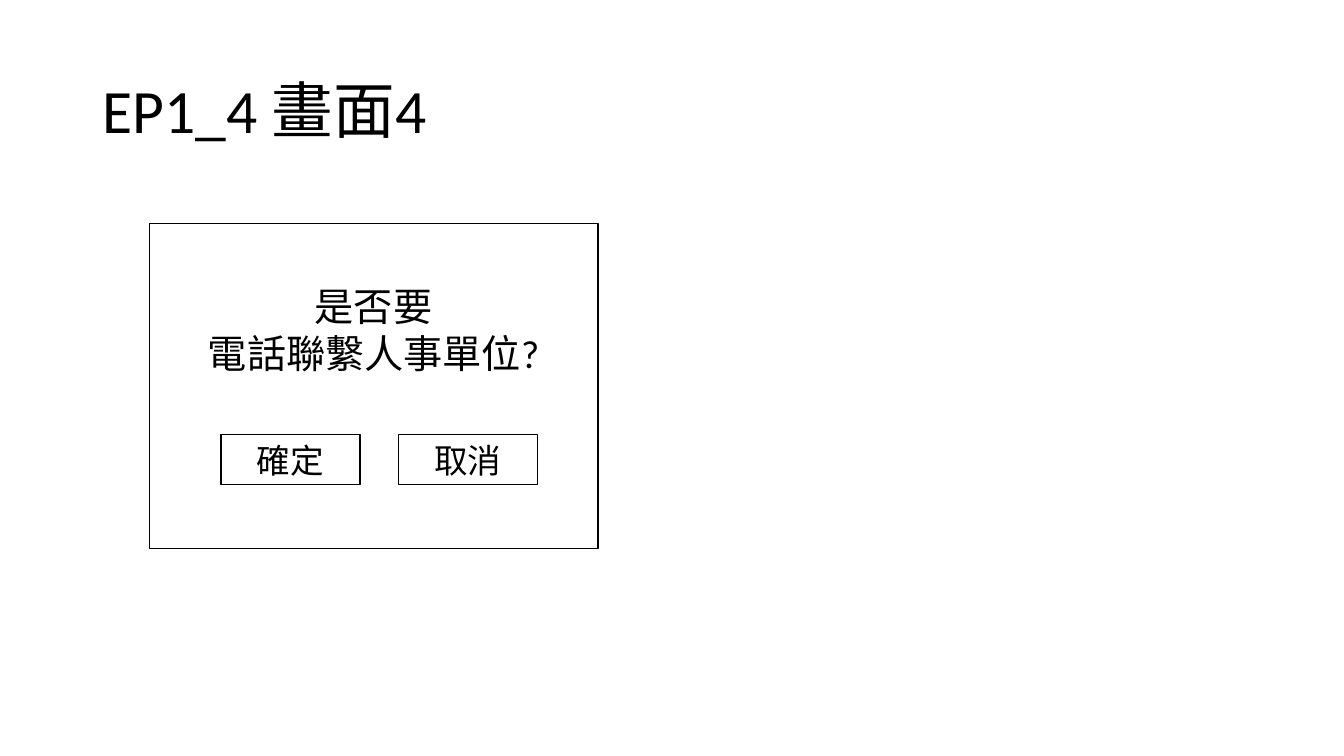
from pptx import Presentation
from pptx.dml.color import RGBColor
from pptx.enum.shapes import MSO_SHAPE as Shape
from pptx.enum.text import MSO_ANCHOR as Anchor, PP_ALIGN as Align
from pptx.util import Inches, Pt

BLACK, WHITE = "000000", "FFFFFF"
FONT = "Calibri"


def color(hex_code):
    return RGBColor.from_string(hex_code)


def write(shape, lines, size, align):
    """Fill a shape with one paragraph per line, centred vertically."""
    frame = shape.text_frame
    frame.word_wrap = True
    frame.vertical_anchor = Anchor.MIDDLE
    for index, line in enumerate(lines):
        paragraph = frame.add_paragraph() if index else frame.paragraphs[0]
        paragraph.alignment = align
        run = paragraph.add_run()
        run.text = line
        run.font.name = FONT
        run.font.size = Pt(size)
        run.font.color.rgb = color(BLACK)


def add_frame(slide, box, fill=None):
    """Draw a black outlined rectangle, hollow unless a fill is given."""
    shape = slide.shapes.add_shape(Shape.RECTANGLE, *map(Inches, box))
    shape.shadow.inherit = False
    if fill:
        shape.fill.solid()
        shape.fill.fore_color.rgb = color(fill)
    else:
        shape.fill.background()
    shape.line.color.rgb = color(BLACK)
    shape.line.width = Pt(1)
    return shape


def add_title(slide, box, text):
    title = slide.shapes.title
    title.left, title.top, title.width, title.height = map(Inches, box)
    write(title, [text], 44, Align.LEFT)
    title.text_frame.paragraphs[0].line_spacing = 0.9


def add_dialog(slide, box, question, buttons):
    left, top, width, height = box
    add_frame(slide, box)

    # Question
    message_box = (left, top + 0.11, width, 1.87)
    message = slide.shapes.add_textbox(*map(Inches, message_box))
    write(message, question, 28, Align.CENTER)

    # Row of buttons
    button_width, button_height, pitch = 1.38, 0.5, 1.76
    for column, label in enumerate(buttons):
        button_box = (left + 0.71 + column * pitch, top + 2.09,
                      button_width, button_height)
        button = add_frame(slide, button_box, WHITE)
        write(button, [label], 24, Align.CENTER)


def main():
    presentation = Presentation()
    presentation.slide_width = Inches(13.33)
    presentation.slide_height = Inches(7.5)
    slide = presentation.slides.add_slide(presentation.slide_layouts[5])

    add_title(slide, (0.92, 0.4, 11.5, 1.45), "EP1_4 畫面4")
    add_dialog(slide, (1.48, 2.22, 4.45, 3.22),
               ["是否要", "電話聯繫人事單位?"], ["確定", "取消"])
    presentation.save("out.pptx")


if __name__ == "__main__":
    main()
